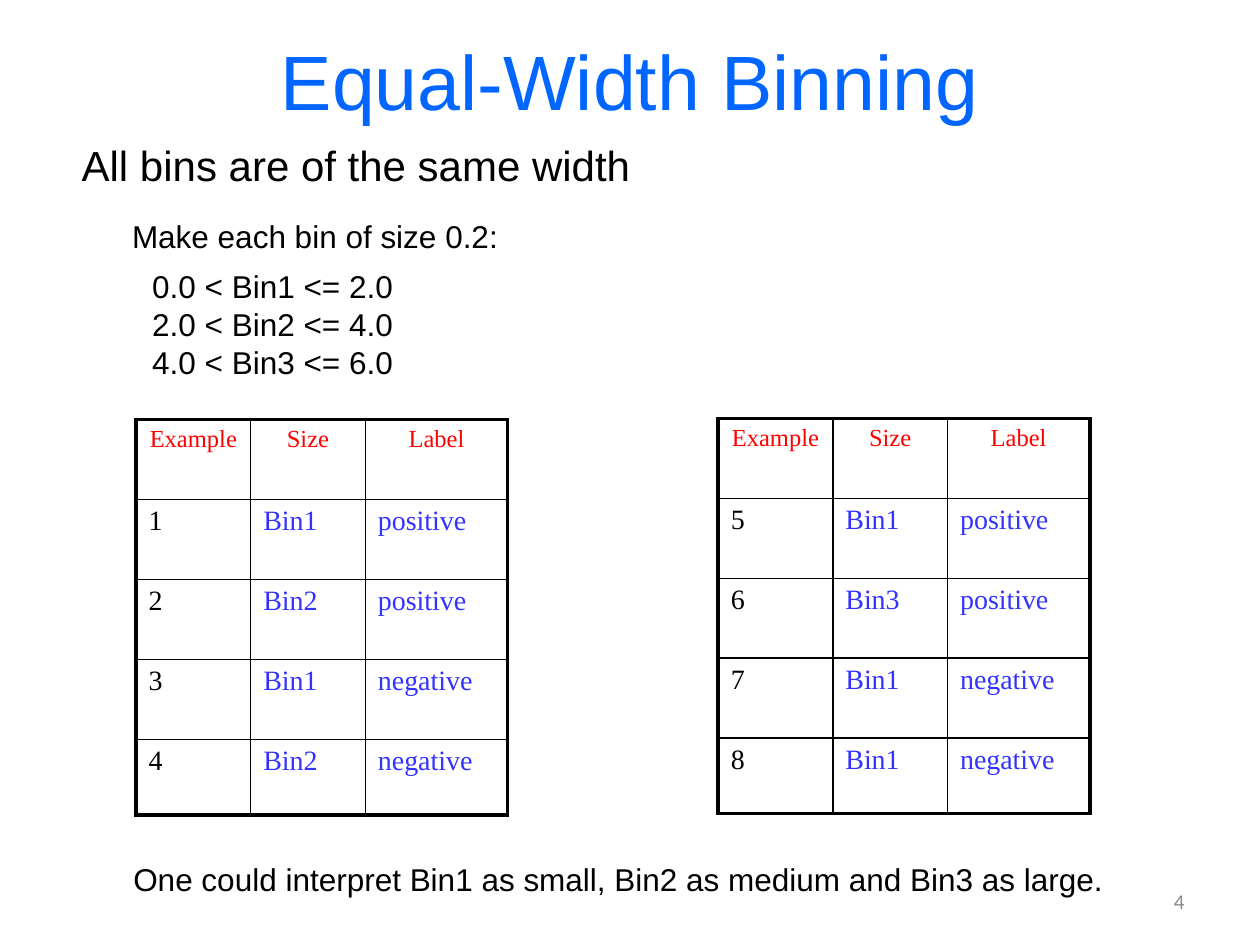
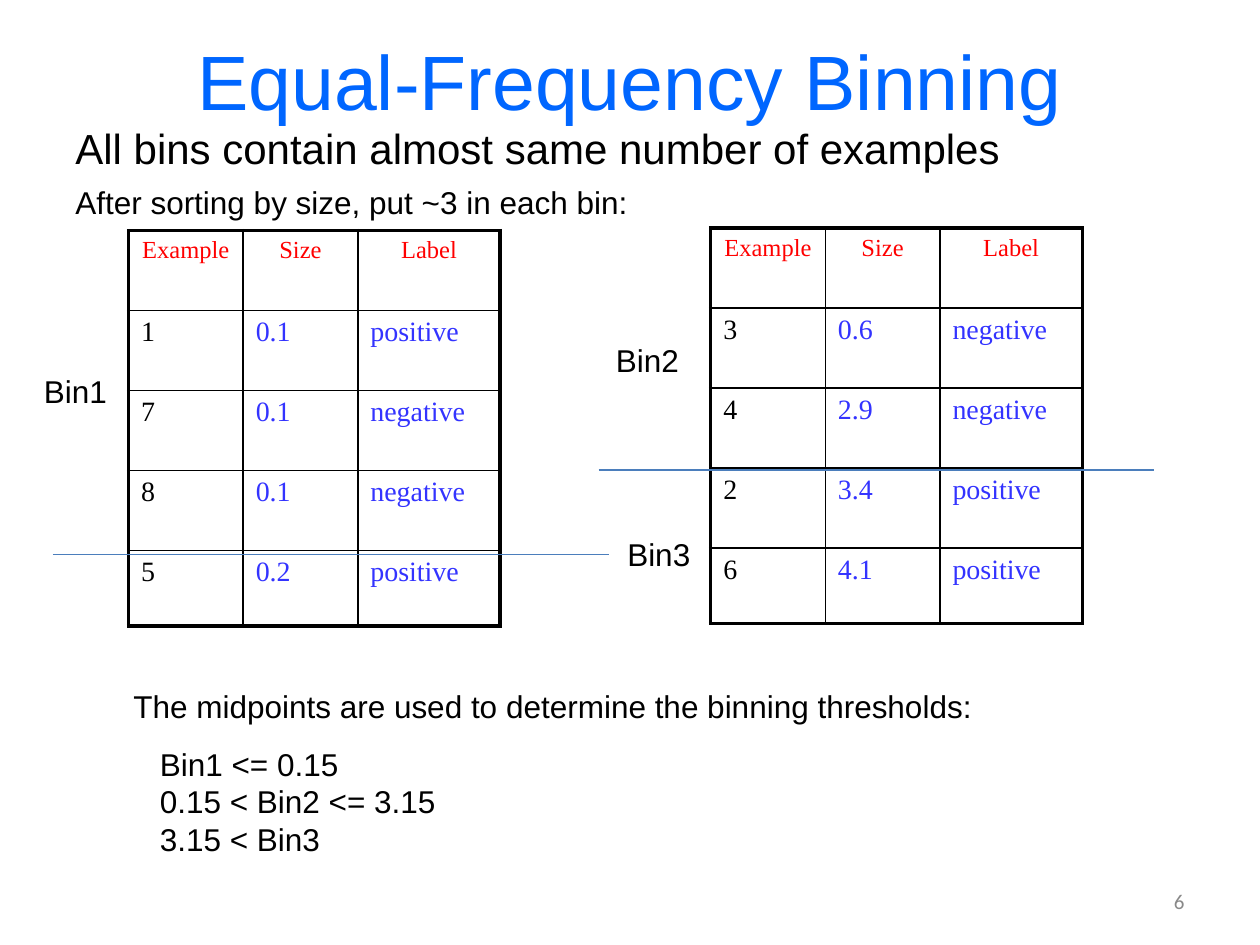
from lxml.etree import SubElement
from pptx import Presentation
from pptx.dml.color import RGBColor as RGB
from pptx.enum.shapes import MSO_CONNECTOR as Link
from pptx.enum.text import MSO_ANCHOR as Anchor, PP_ALIGN as Align
from pptx.oxml.ns import qn
from pptx.util import Inches, Pt

COLORS = {
    "title": "0066FF",
    "text": "000000",
    "page": "898989",
    "head": "FF0000",
    "value": "3333FF",
    "grid": "000000",
    "split": "4B7EBC",
}
HEADS = ("Example", "Size", "Label")
COLS = (0.91, 0.91, 1.13)
TABLE_H, LAST_H = 3.14, 0.6
THICK, THIN = 2.25, 1


def style(para, size, color, font="Arial", align=Align.LEFT):
    para.alignment = align
    para.font.size = Pt(size)
    para.font.name = font
    para.font.color.rgb = RGB.from_string(COLORS[color])


def add_text(slide, box, lines, size=18, color="text", font="Arial",
             align=Align.LEFT, anchor=Anchor.TOP, wrap=False):
    frame = slide.shapes.add_textbox(*map(Inches, box)).text_frame
    frame.word_wrap = wrap
    frame.vertical_anchor = anchor
    frame.text = lines
    for para in frame.paragraphs:
        style(para, size, color, font, align)


def add_slide(deck, title, page):
    slide = deck.slides.add_slide(deck.slide_layouts[6])
    add_text(slide, (0.5, 0.01, 9, 1.25), title, 44, "title",
             align=Align.CENTER, anchor=Anchor.MIDDLE, wrap=True)
    add_text(slide, (7.17, 6.95, 2.33, 0.4), page, 12, "page", "Calibri",
             Align.RIGHT, Anchor.MIDDLE, True)
    return slide


def add_heading(slide, left, top, text):
    add_text(slide, (left, top, 7.6, 0.5), text, 24, wrap=True)


def add_border(cell, side, width):
    props = cell._tc.get_or_add_tcPr()
    line = SubElement(props, qn("a:ln" + side), w=str(Pt(width)))
    fill = SubElement(line, qn("a:solidFill"))
    SubElement(fill, qn("a:srgbClr"), val=COLORS["grid"])


def add_grid(slide, left, top, rows):
    """Add a table of examples with a thick frame and thin inner lines."""
    rows = [HEADS, *rows]
    last, end = len(rows) - 1, len(HEADS) - 1
    table = slide.shapes.add_table(
        len(rows), len(HEADS), Inches(left), Inches(top),
        Inches(sum(COLS)), Inches(TABLE_H)).table
    table.first_row = table.horz_banding = False
    for col, width in zip(table.columns, COLS):
        col.width = Inches(width)
    for row in table.rows:
        row.height = Inches((TABLE_H - LAST_H) / last)
    table.rows[last].height = Inches(LAST_H)

    for r, row in enumerate(rows):
        for c, text in enumerate(row):
            cell = table.cell(r, c)
            cell.text = text
            para = cell.text_frame.paragraphs[0]
            if r == 0:
                style(para, 14, "head", "Times New Roman", Align.CENTER)
            else:
                color = "value" if c else "text"
                style(para, 16, color, "Times New Roman")
            edges = {"L": c == 0, "R": c == end, "T": r == 0, "B": r == last}
            for side, outer in edges.items():
                add_border(cell, side, THICK if outer else THIN)
            cell.fill.background()


def add_split(slide, left, top, width=4.41):
    """Add the level line that parts two bins."""
    line = slide.shapes.add_connector(
        Link.STRAIGHT, Inches(left), Inches(top),
        Inches(left + width), Inches(top))
    line.line.width = Pt(0.75)
    line.line.color.rgb = RGB.from_string(COLORS["split"])
    SubElement(line._element.spPr, qn("a:effectLst"))


def add_width(deck):
    slide = add_slide(deck, "Equal-Width Binning", "4")
    add_heading(slide, 0.55, 1.06, "All bins are of the same width")
    add_text(slide, (0.95, 1.67, 3.13, 0.4), "Make each bin of size 0.2:")
    add_text(slide, (1.11, 2.07, 2.2, 1.01),
             "0.0 < Bin1 <= 2.0\n2.0 < Bin2 <= 4.0\n4.0 < Bin3 <= 6.0")
    add_grid(slide, 1.08, 3.33, [
        ("1", "Bin1", "positive"),
        ("2", "Bin2", "positive"),
        ("3", "Bin1", "negative"),
        ("4", "Bin2", "negative"),
    ])
    add_grid(slide, 5.7, 3.32, [
        ("5", "Bin1", "positive"),
        ("6", "Bin3", "positive"),
        ("7", "Bin1", "negative"),
        ("8", "Bin1", "negative"),
    ])
    add_text(slide, (0.96, 6.78, 7.9, 0.4),
             "One could interpret Bin1 as small, Bin2 as medium "
             "and Bin3 as large.")


def add_count(deck):
    slide = add_slide(deck, "Equal-Frequency Binning", "6")
    add_heading(slide, 0.5, 0.92,
                "All bins contain almost same number of examples")
    add_text(slide, (0.5, 1.4, 4.63, 0.4),
             "After sorting by size, put ~3 in each bin:")
    add_grid(slide, 1.02, 1.83, [
        ("1", "0.1", "positive"),
        ("7", "0.1", "negative"),
        ("8", "0.1", "negative"),
        ("5", "0.2", "positive"),
    ])
    add_grid(slide, 5.64, 1.81, [
        ("3", "0.6", "negative"),
        ("4", "2.9", "negative"),
        ("2", "3.4", "positive"),
        ("6", "4.1", "positive"),
    ])
    add_split(slide, 0.42, 4.4)
    add_split(slide, 4.75, 3.73)
    for name, left, top in (("Bin1", 0.25, 2.9), ("Bin2", 4.79, 2.66),
                            ("Bin3", 4.88, 4.2)):
        add_text(slide, (left, top, 0.71, 0.4), name)
    add_text(slide, (0.96, 5.4, 6.92, 0.4),
             "The midpoints are used to determine the binning thresholds:")
    add_text(slide, (1.17, 5.86, 2.41, 1.01),
             "Bin1 <= 0.15\n0.15 < Bin2 <= 3.15\n3.15 < Bin3")


def main():
    deck = Presentation()
    deck.slide_width, deck.slide_height = Inches(10), Inches(7.5)
    add_width(deck)
    add_count(deck)
    deck.save("out.pptx")


if __name__ == "__main__":
    main()
